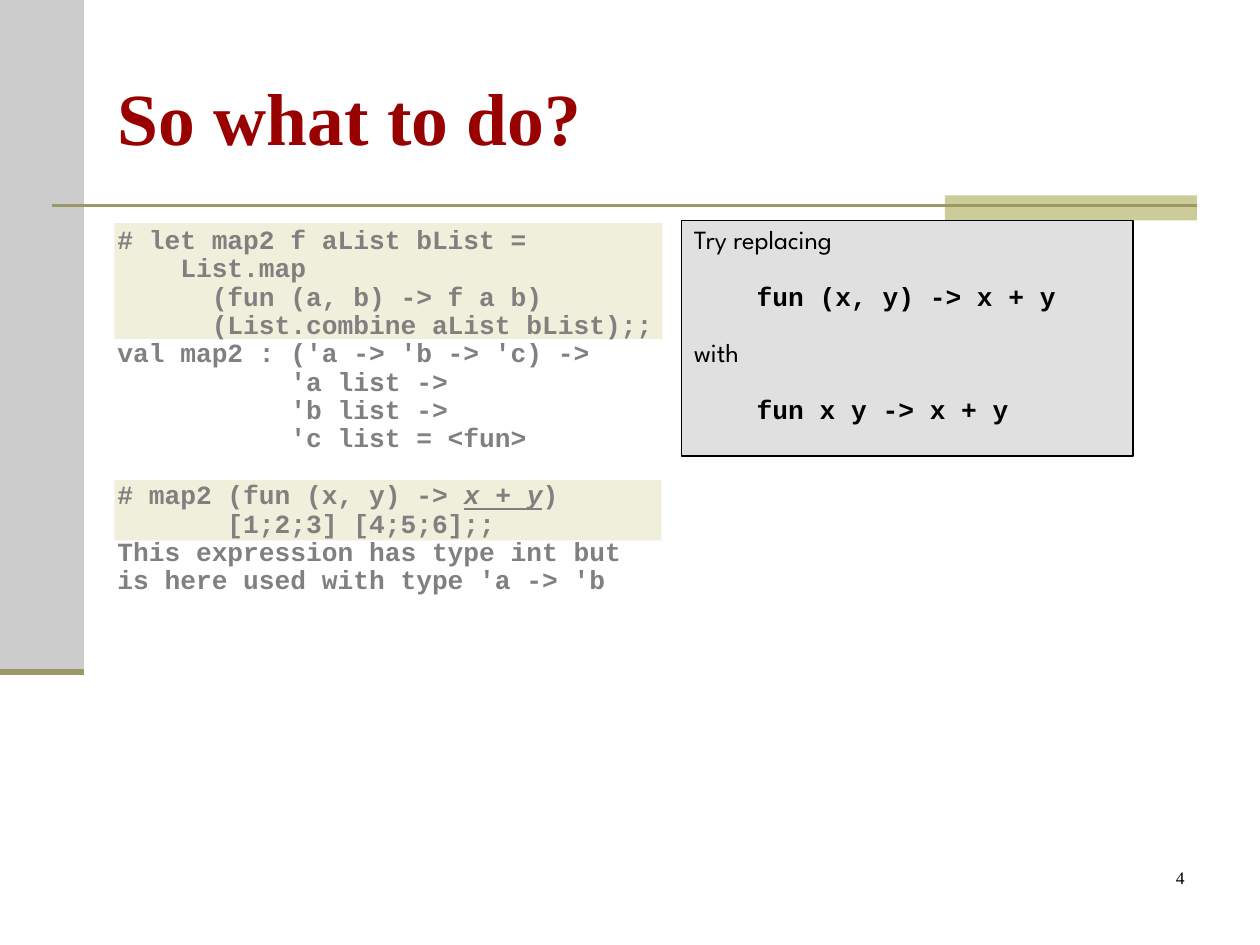
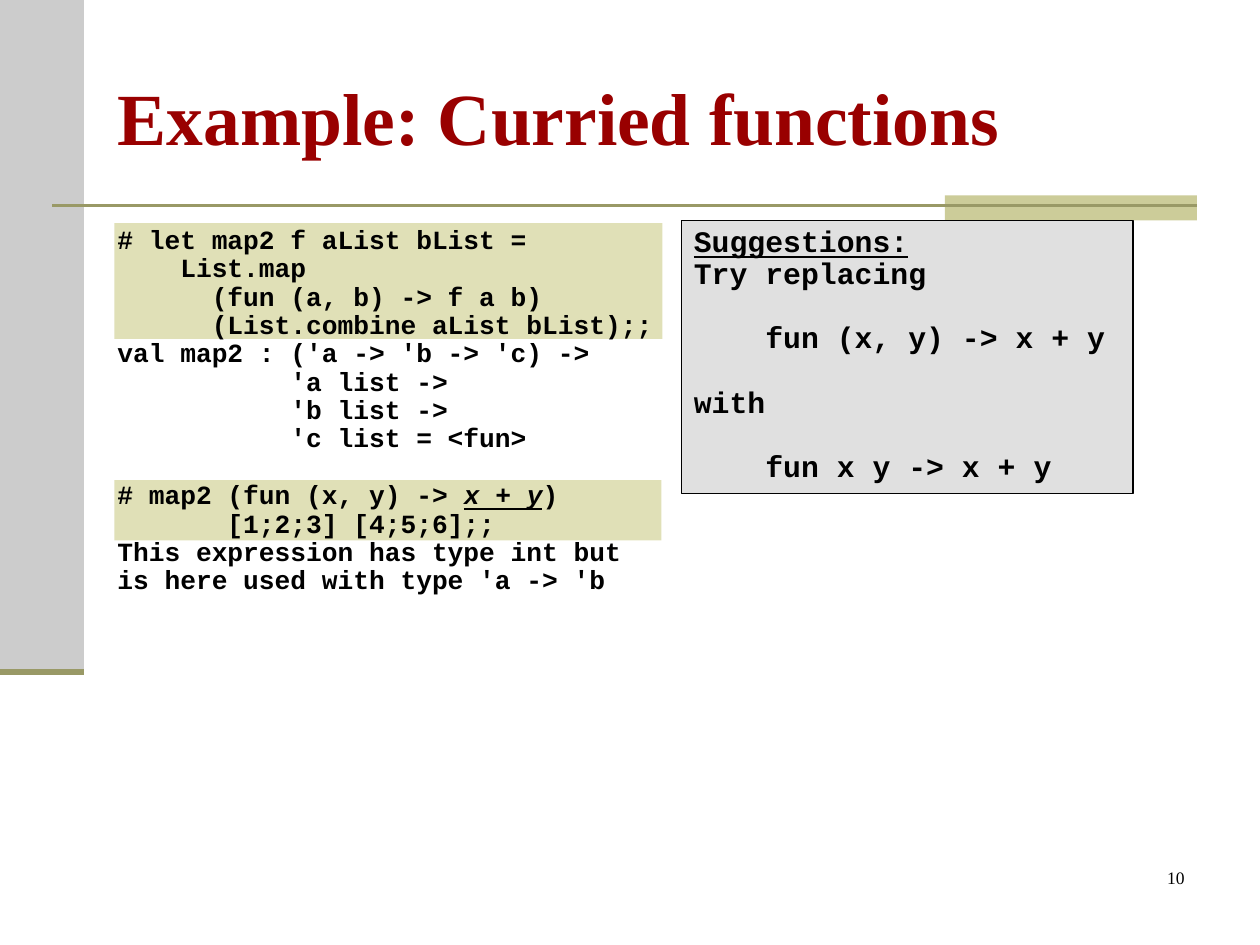
from pptx import Presentation
from pptx.dml.color import RGBColor as RGB
from pptx.enum.shapes import MSO_CONNECTOR as LINE, MSO_SHAPE as SHAPE
from pptx.enum.text import MSO_ANCHOR as ANCHOR, MSO_AUTO_SIZE as FIT, PP_ALIGN as ALIGN
from pptx.oxml.ns import qn
from pptx.util import Inches, Pt
from lxml import etree

GREY = RGB(0xCC, 0xCC, 0xCC)
SAND = RGB(0xCC, 0xCC, 0x99)
OLIVE = RGB(0x99, 0x99, 0x66)
CREAM = RGB(0xE0, 0xE0, 0xB7)
PALE = RGB(0xE0, 0xE0, 0xE0)
RED = RGB(0x99, 0x00, 0x00)
BLACK = RGB(0x00, 0x00, 0x00)
WHITE = RGB(0xFF, 0xFF, 0xFF)
MONO, SANS, SERIF = "Courier New", "League Spartan", "Times New Roman"

deck = Presentation()
deck.slide_width, deck.slide_height = Inches(10), Inches(7.5)
COL, ROW = deck.slide_width / 12, deck.slide_height / 30


def place(x, y, w, h):
    """Turn columns and rows into a position and a size."""
    return int(x * COL), int(y * ROW), int(w * COL), int(h * ROW)


def write(frame, text, font=MONO, size=15, color=BLACK, bold=True, slant=False,
          under=False, gap=0, lead=0.9, align=ALIGN.LEFT, join=False):
    """Add text as a new paragraph, or join it to the last one."""
    para = frame.paragraphs[-1]
    if para.runs and not join:
        para = frame.add_paragraph()
    if not join:
        para.alignment, para.line_spacing = align, lead
        para.space_before = Pt(gap)
    for i, part in enumerate(text.split("\n")):
        if i:
            para.add_line_break()
        run = para.add_run()
        run.text = part
        face = run.font
        face.name, face.size, face.color.rgb = font, Pt(size), color
        face.bold, face.italic, face.underline = bold, slant, under


DEFINE = """# let map2 f aList bList =
    List.map
      (fun (a, b) -> f a b)
      (List.combine aList bList);;"""
REPLY = """val map2 : ('a -> 'b -> 'c) ->
           'a list ->
           'b list ->
           'c list = <fun>"""
ERROR = "This expression has type int but is here used with type 'a -> 'b"
PAIR, CURRY = "    fun (x, y) -> x + y", "    fun x y -> x + y"
plain = dict(font=SANS, bold=False)
big = dict(size=17)

# Title, number, faded code or not, panel height, panel lines
pages = [
    ("So what to do?", "4", True, 7.48, [
        ("Try replacing", plain),
        (PAIR, dict(gap=16.2)),
        ("with", dict(plain, gap=16.2)),
        (CURRY, dict(gap=16.2))]),
    ("Example: Curried functions", "10", False, 8.68, [
        ("Suggestions:", dict(big, under=True)),
        ("Try replacing", big),
        (PAIR, dict(big, gap=18.4)),
        ("with", dict(big, gap=18.4)),
        (CURRY, dict(big, gap=18.4))]),
]

# Side band, title tab, and the two code highlights
bands = [
    ((0, 0, 0.8, 21.33), GREY),
    ((9, 6.2, 2.4, 0.8), SAND),
    ((1.09, 15.24, 5.21, 1.92), CREAM),
    ((1.09, 7.08, 5.22, 3.68), CREAM),
]
rules = [(0.5, 11.4, 6.52, 1.5), (0, 0.8, 21.33, 3.5)]

for title, number, faded, tall, lines in pages:
    slide = deck.slides.add_slide(deck.slide_layouts[5])
    shapes = slide.shapes

    # Bands and rules
    for box, fill in bands:
        band = shapes.add_shape(SHAPE.RECTANGLE, *place(*box))
        band.shadow.inherit = False
        band.fill.solid()
        band.fill.fore_color.rgb = fill
        band.line.fill.background()
    for left, right, y, width in rules:
        x, top, span, _ = place(left, y, right - left, 0)
        rule = shapes.add_connector(LINE.STRAIGHT, x, top, x + span, top)
        rule.line.color.rgb, rule.line.width = OLIVE, Pt(width)
        etree.SubElement(rule._element.spPr, qn("a:effectLst"))

    # Title
    head = shapes.title
    head.left, head.top, head.width, head.height = place(1, 1.2, 10.4, 5)
    frame = head.text_frame
    frame.auto_size, frame.vertical_anchor = FIT.NONE, ANCHOR.MIDDLE
    frame.word_wrap = True
    write(frame, title, font=SERIF, size=42, color=RED, lead=1)

    # Code session
    code = shapes.add_textbox(*place(1, 7, 5.4, 19.8)).text_frame
    code.word_wrap = True
    write(code, DEFINE)
    write(code, REPLY)
    write(code, "# map2 (fun (x, y) -> ", gap=16.2)
    write(code, "x + y", slant=True, under=True, join=True)
    write(code, ")\n       [1;2;3] [4;5;6];;", join=True)
    write(code, ERROR)

    # Advice panel
    panel = shapes.add_shape(SHAPE.RECTANGLE, *place(6.49, 7, 4.3, tall))
    panel.shadow.inherit = False
    panel.fill.solid()
    panel.fill.fore_color.rgb = PALE
    panel.line.color.rgb, panel.line.width = BLACK, Pt(0.75)
    frame = panel.text_frame
    frame.vertical_anchor, frame.word_wrap = ANCHOR.TOP, True
    for text, form in lines:
        write(frame, text, **form)

    # Half-clear veil over the code
    if faded:
        veil = shapes.add_shape(SHAPE.RECTANGLE, *place(1.06, 6.84, 5.34, 13.24))
        veil.shadow.inherit = False
        veil.fill.solid()
        veil.fill.fore_color.rgb = WHITE
        veil.line.fill.background()
        tint = veil._element.spPr.find(qn("a:solidFill"))[0]
        etree.SubElement(tint, qn("a:alpha"), val="50000")

    # Slide number
    foot = shapes.add_textbox(*place(8.9, 27.32, 2.5, 2)).text_frame
    foot.word_wrap = True
    write(foot, number, font=SERIF, size=10, bold=False, lead=1, align=ALIGN.RIGHT)

deck.save("out.pptx")
